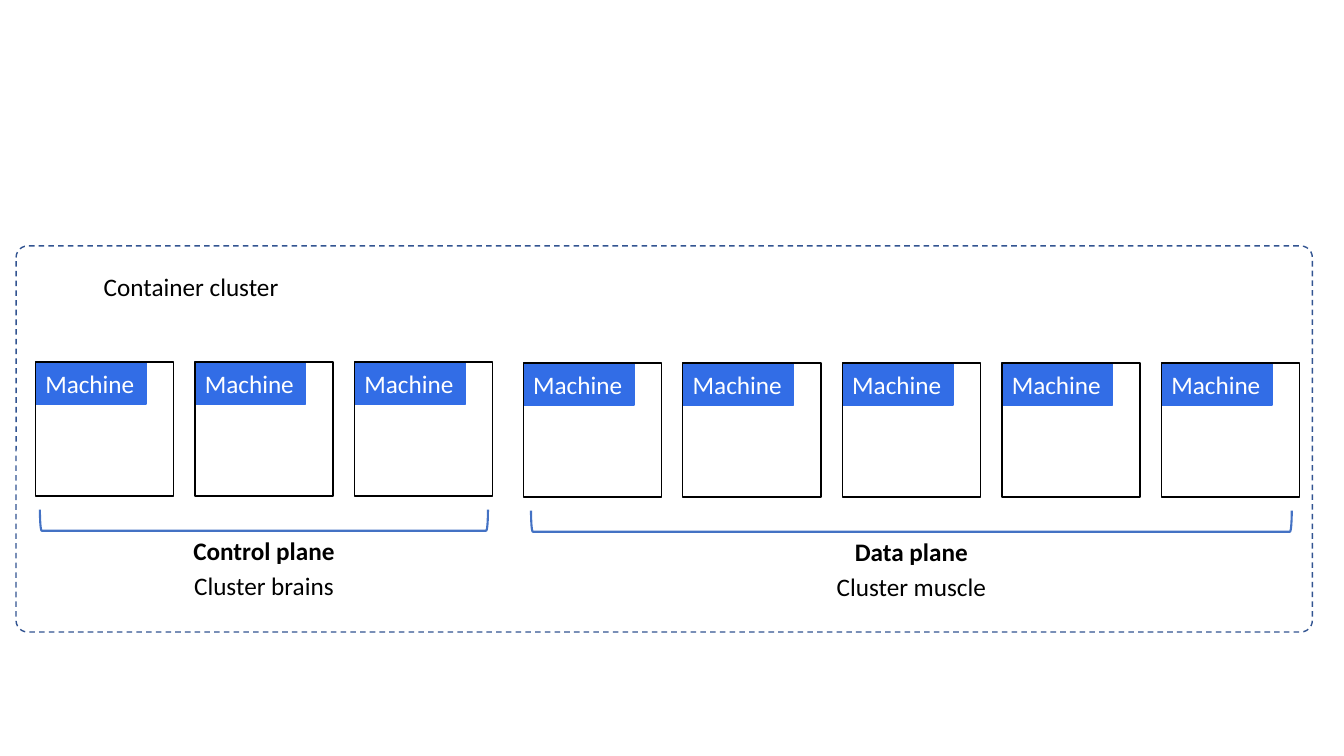
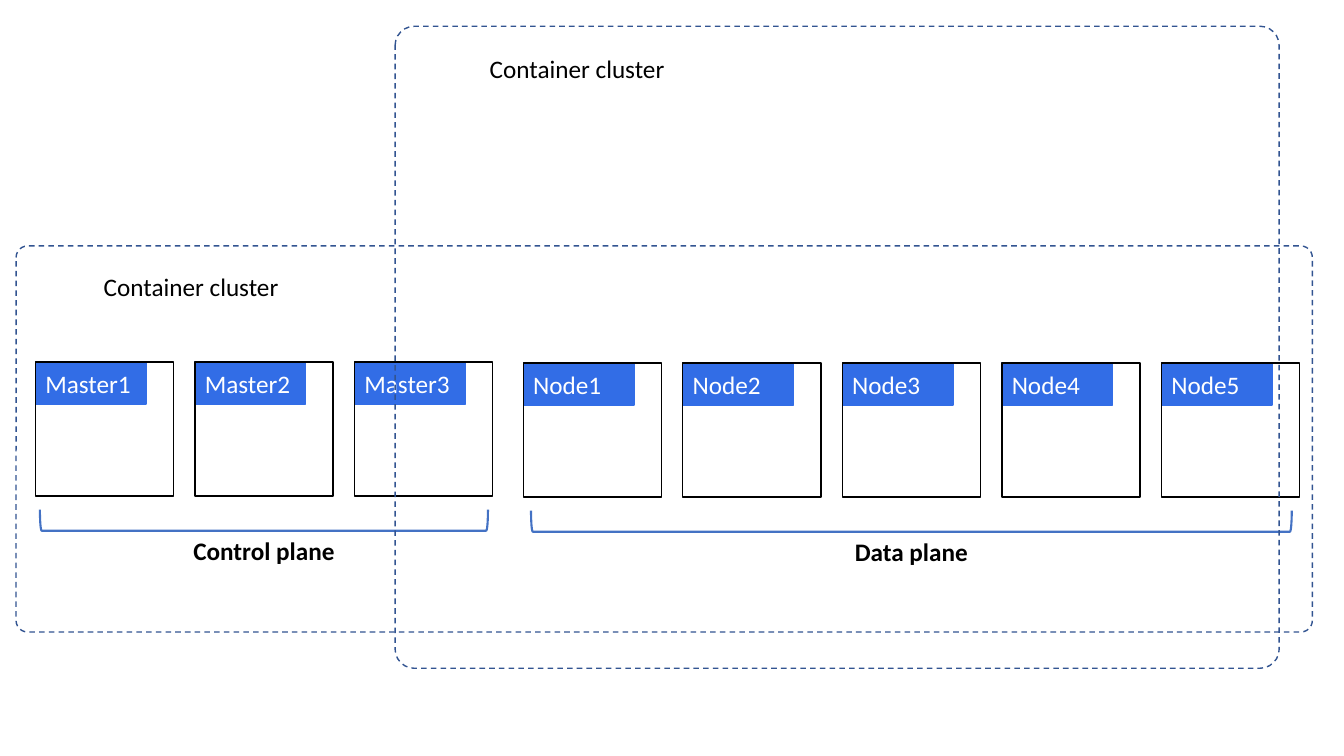
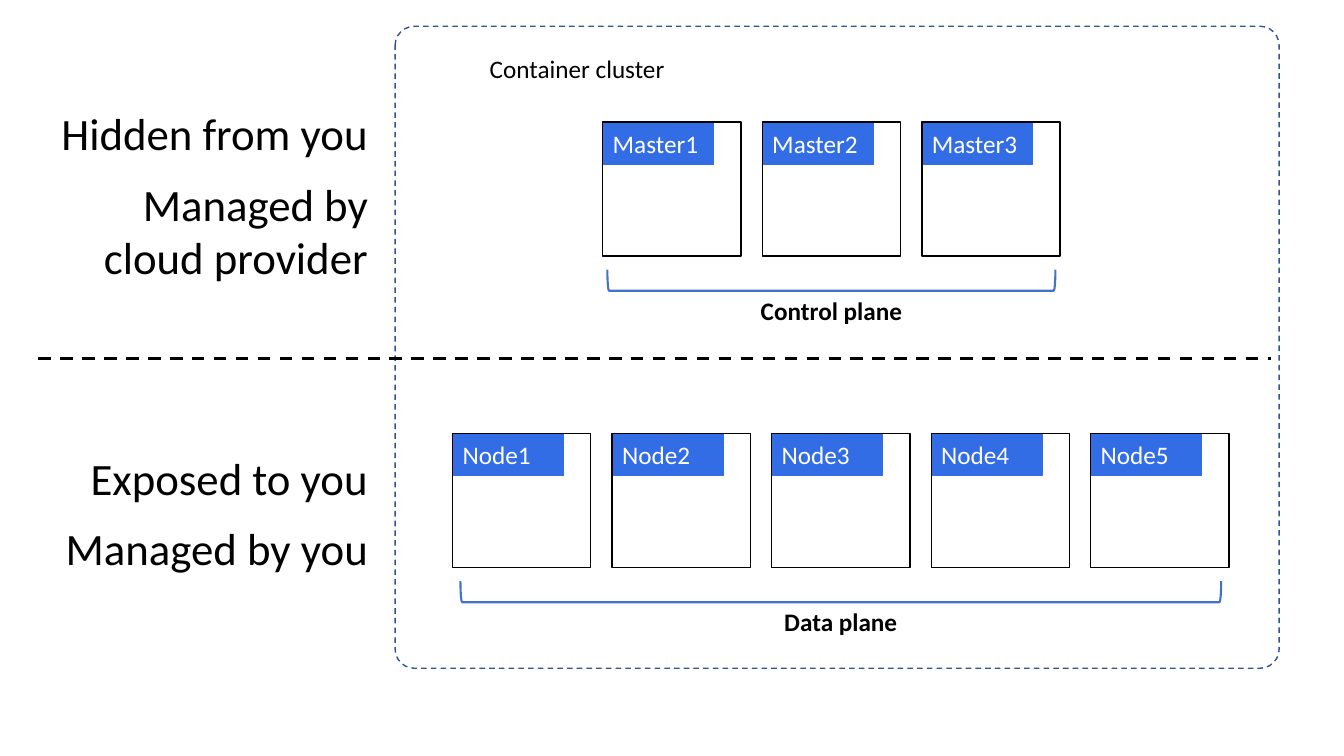
from dataclasses import dataclass

from lxml.etree import SubElement
from pptx import Presentation
from pptx.dml.color import RGBColor
from pptx.enum.dml import MSO_LINE
from pptx.enum.shapes import MSO_CONNECTOR, MSO_SHAPE
from pptx.enum.text import MSO_ANCHOR, PP_ALIGN
from pptx.oxml.ns import qn
from pptx.util import Inches, Pt


@dataclass(frozen=True)
class Theme:
    font: str = "Calibri"
    body: int = 18
    large: int = 32
    ink: RGBColor = RGBColor(0x00, 0x00, 0x00)
    paper: RGBColor = RGBColor(0xFF, 0xFF, 0xFF)
    tab: RGBColor = RGBColor(0x32, 0x6D, 0xE6)
    frame: RGBColor = RGBColor(0x32, 0x54, 0x91)
    bracket: RGBColor = RGBColor(0x44, 0x72, 0xC4)


theme = Theme()
deck = Presentation()
deck.slide_width, deck.slide_height = Inches(13.33), Inches(7.5)

# Grid: 100 columns by 100 rows, so every length is a percentage of the slide
column, row = deck.slide_width / 100, deck.slide_height / 100


def put(page, place, text="", kind=None, fill=None, line=None, weight=1, dash=None,
        turned=False, size=theme.body, color=theme.ink, bold=False,
        align=PP_ALIGN.LEFT, gap=0):
    """Place a text box, or a preset shape when kind is given; place is in grid units."""
    left, top, width, height = (
        int(length * unit) for length, unit in zip(place, (column, row, column, row)))
    if turned:
        left, top = left + (width - height) // 2, top + (height - width) // 2
        width, height = height, width
    if kind is None:
        box = page.shapes.add_textbox(left, top, width, height)
    else:
        box = page.shapes.add_shape(kind, left, top, width, height)
        box.shadow.inherit = False
        box.rotation = 270 if turned else 0
        if fill is None:
            box.fill.background()
        else:
            box.fill.solid()
            box.fill.fore_color.rgb = fill
        box.line.color.rgb = line
        box.line.width = Pt(weight)
        box.line.dash_style = dash
    if text:
        frame = box.text_frame
        frame.word_wrap = True
        frame.vertical_anchor = MSO_ANCHOR.MIDDLE if kind else MSO_ANCHOR.TOP
        for index, words in enumerate(text.split("\n")):
            para = frame.add_paragraph() if index else frame.paragraphs[0]
            para.alignment = align
            para.space_before = Pt(gap if index else 0)
            span = para.add_run()
            span.text = words
            span.font.name, span.font.size = theme.font, Pt(size)
            span.font.bold, span.font.color.rgb = bold, color
    return box


# Shared measures
pitch, machine_width, machine_height = 11.87, 10.28, 17.73
tab_width, tab_height, text_height = 8.25, 5.6, 5.33

wide_cluster = ((1.2, 32.53, 96.45, 51.07), (6.98, 35.2))
tall_cluster = ((29.4, 3.47, 65.78, 84.93), (35.7, 6.4))
masters = [f"Master{number}" for number in range(1, 4)]
nodes = [f"Node{number}" for number in range(1, 6)]

# Each slide: its clusters (frame, caption corner) and
# its planes (left, top, machine names, title, subtitle)
slides = [
    ([wide_cluster],
     [(2.63, 47.87, ["Machine"] * 3, "Control plane", "Cluster brains"),
      (38.93, 48, ["Machine"] * 5, "Data plane", "Cluster muscle")]),
    ([wide_cluster, tall_cluster],
     [(2.63, 47.87, masters, "Control plane", ""),
      (38.93, 48, nodes, "Data plane", "")]),
    ([tall_cluster],
     [(44.85, 16.13, masters, "Control plane", ""),
      (33.68, 57.33, nodes, "Data plane", "")]),
]

for clusters, planes in slides:
    page = deck.slides.add_slide(deck.slide_layouts[6])

    for left, top, names, title, subtitle in planes:
        # Machines, each with a name tab
        for index, name in enumerate(names):
            x = left + index * pitch
            put(page, (x, top, tab_width, tab_height), name, kind=MSO_SHAPE.RECTANGLE,
                fill=theme.tab, line=theme.tab, color=theme.paper)
            put(page, (x, top, machine_width, machine_height),
                kind=MSO_SHAPE.RECTANGLE, line=theme.ink)

        # Bracket and labels, centred below the machines
        span_width = (len(names) - 1) * pitch + machine_width
        put(page, (left + span_width * 0.01, top + 19.53, span_width * 0.98, 2.8),
            kind=MSO_SHAPE.LEFT_BRACKET, line=theme.bracket, weight=1.5, turned=True)
        put(page, (left, top + 22.27, span_width, text_height), title,
            bold=True, align=PP_ALIGN.CENTER)
        if subtitle:
            put(page, (left, top + 26.93, span_width, text_height), subtitle,
                align=PP_ALIGN.CENTER)

    # Cluster frames and captions
    for place, corner in clusters:
        outline = put(page, place, kind=MSO_SHAPE.ROUNDED_RECTANGLE,
                      line=theme.frame, dash=MSO_LINE.DASH)
        outline.adjustments[0] = 0.03
        put(page, (*corner, 27.75, text_height), "Container cluster")

# Last slide: divider between the hidden and the exposed half
divider = page.shapes.add_connector(
    MSO_CONNECTOR.STRAIGHT, int(2.85 * column), int(47.47 * row),
    int(94.6 * column), int(47.47 * row))
divider.line.color.rgb = theme.ink
divider.line.width = Pt(2.25)
divider.line.dash_style = MSO_LINE.DASH
SubElement(divider._element.spPr, qn("a:effectLst"))

# Last slide: who manages each half
for top, height, text in [
    (13.33, 25.07, "Hidden from you\nManaged by cloud provider"),
    (58.93, 18, "Exposed to you\nManaged by you"),
]:
    put(page, (2.7, top, 25.43, height), text, size=theme.large,
        align=PP_ALIGN.RIGHT, gap=12)

deck.save("out.pptx")
